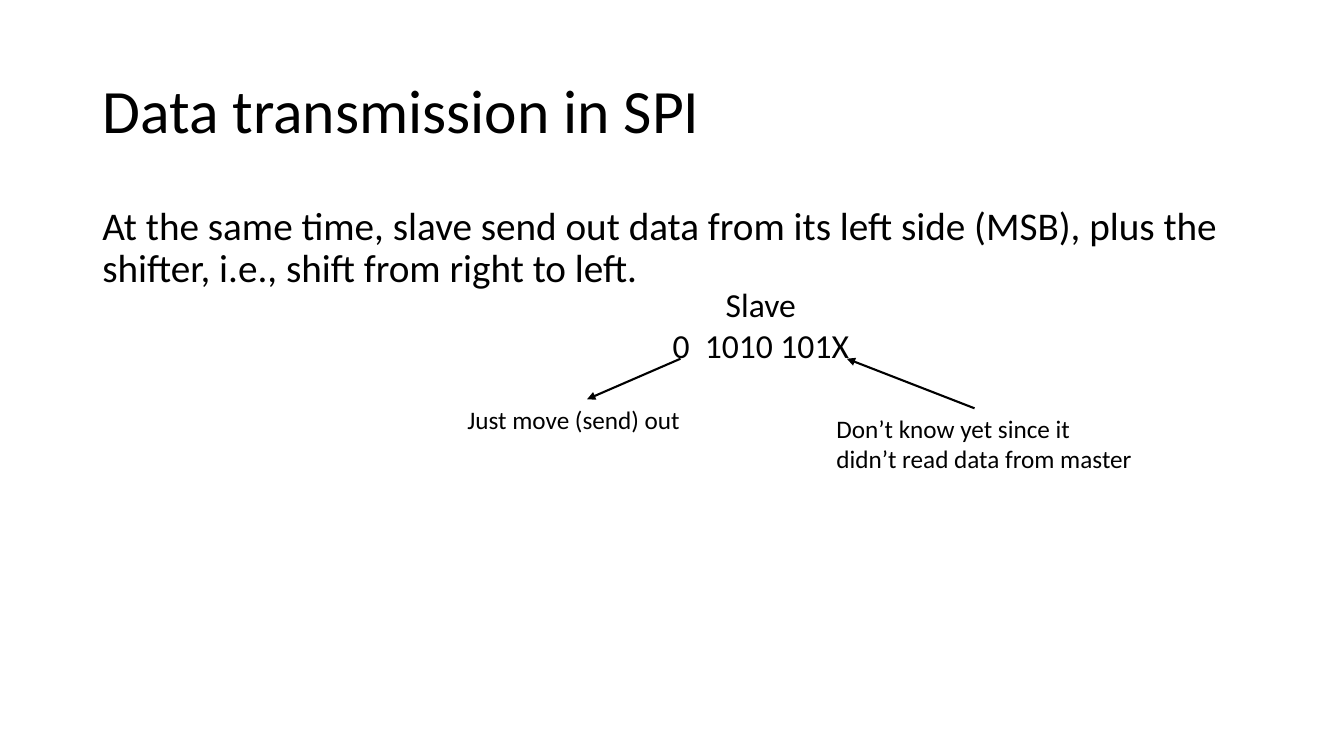
import pptx
import pptx.dml.color
import pptx.enum.shapes
import pptx.enum.text
import pptx.oxml.ns
import pptx.util
from lxml import etree

Cm = pptx.util.Cm
Pt = pptx.util.Pt
ALIGN = pptx.enum.text.PP_ALIGN
ANCHOR = pptx.enum.text.MSO_ANCHOR
BLACK = pptx.dml.color.RGBColor(0x00, 0x00, 0x00)


def add_text(slide, box, lines, size, align=ALIGN.LEFT, anchor=ANCHOR.TOP, spacing=1.0):
    """Add a wrapped text box with one paragraph per line."""
    label = slide.shapes.add_textbox(*(Cm(length) for length in box))
    frame = label.text_frame
    frame.word_wrap = True
    frame.vertical_anchor = anchor
    frame.text = "\n".join(lines)
    font_format = {"name": "Calibri", "size": Pt(size)}
    paragraph_format = {"alignment": align, "line_spacing": spacing}
    for paragraph in frame.paragraphs:
        for target, values in ((paragraph, paragraph_format), (paragraph.font, font_format)):
            for attribute, value in values.items():
                setattr(target, attribute, value)
        paragraph.font.color.rgb = BLACK
    return label


def add_arrow(slide, start, end):
    """Add a black line with a triangular head at its end."""
    arrow = slide.shapes.add_connector(
        pptx.enum.shapes.MSO_CONNECTOR.STRAIGHT,
        *(Cm(length) for length in start + end),
    )
    arrow.line.color.rgb = BLACK
    arrow.line.width = Pt(1.5)
    qn = pptx.oxml.ns.qn
    etree.SubElement(arrow.line._get_or_add_ln(), qn("a:tailEnd"), type="triangle")
    etree.SubElement(arrow._element.spPr, qn("a:effectLst"))
    return arrow


def main():
    """Build the slide on data transmission in SPI."""
    deck = pptx.Presentation()
    deck.slide_width, deck.slide_height = Cm(33.87), Cm(19.05)
    slide = deck.slides.add_slide(deck.slide_layouts[6])

    add_text(slide, (2.33, 1.01, 29.21, 3.68), ["Data transmission in SPI"], 44,
             anchor=ANCHOR.MIDDLE, spacing=0.9)
    add_text(slide, (2.33, 5.08, 29.21, 12.09),
             ["At the same time, slave send out data from its left side (MSB), "
              "plus the shifter, i.e., shift from right to left."], 28, spacing=0.9)

    sent_bit = add_text(slide, (11.53, 10.06, 6.53, 1.02), ["Just move (send) out"], 18)
    sent_arrow = add_arrow(slide, (17.15, 9.04), (14.8, 10.06))
    sent_arrow.end_connect(sent_bit, 0)

    add_text(slide, (20.83, 10.29, 7.98, 1.8),
             ["Don’t know yet since it didn’t read data from master"], 18)
    add_arrow(slide, (24.56, 10.29), (21.34, 9.04))

    add_text(slide, (16.33, 7.04, 5.69, 2.31), ["Slave", "0  1010 101X"], 24,
             align=ALIGN.CENTER)

    deck.save("out.pptx")


if __name__ == "__main__":
    main()
